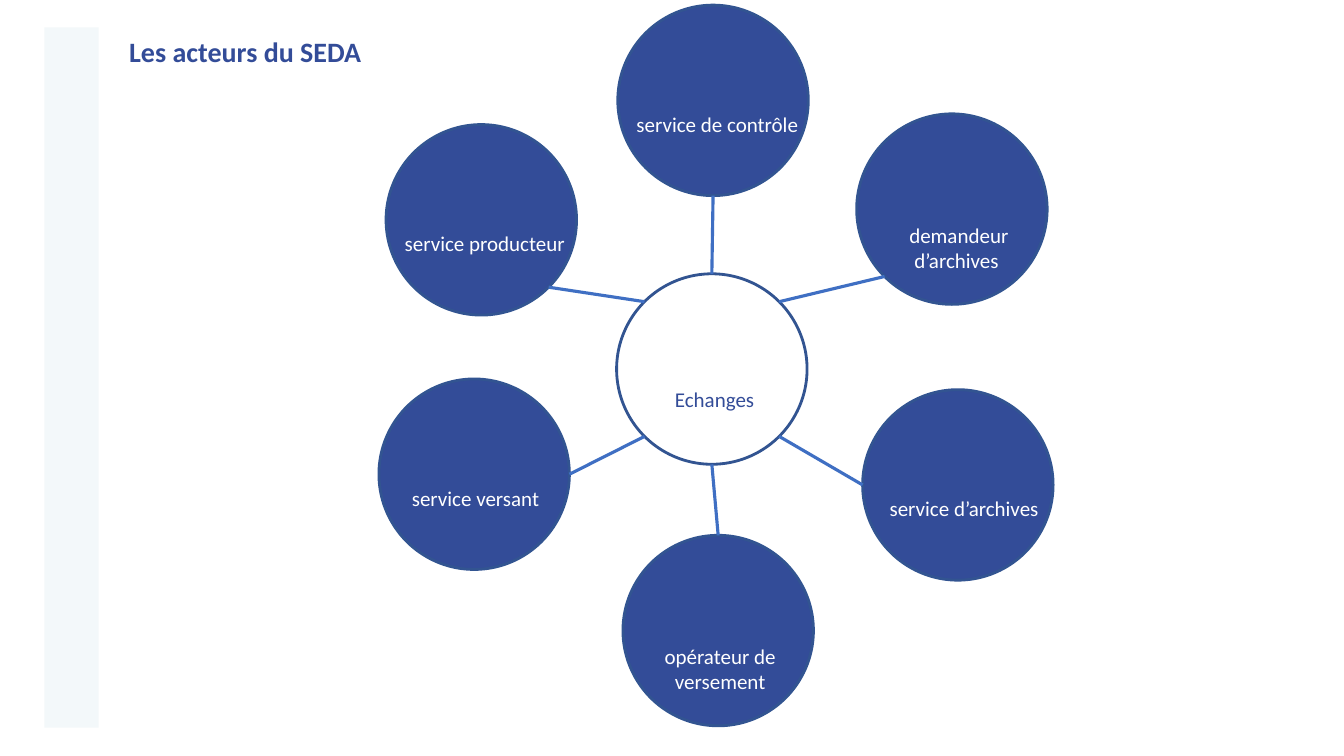
from dataclasses import dataclass
from math import cos, radians, sin
from typing import Optional

from lxml.etree import SubElement
from pptx import Presentation
from pptx.dml.color import RGBColor
from pptx.enum.shapes import MSO_CONNECTOR, MSO_SHAPE
from pptx.enum.text import MSO_ANCHOR, MSO_AUTO_SIZE, PP_ALIGN
from pptx.oxml.ns import qn
from pptx.shapes.autoshape import Shape
from pptx.shapes.shapetree import SlideShapes
from pptx.util import Cm, Pt

NAVY = RGBColor(0x33, 0x4C, 0x98)
OUTLINE = RGBColor(0x32, 0x54, 0x91)
LINK = RGBColor(0x3F, 0x6F, 0xC3)
PALE = RGBColor(0xF3, 0xF8, 0xFA)
WHITE = RGBColor(0xFF, 0xFF, 0xFF)

DIAMETER = 4.8
LABEL_WIDTH = 5.41
LABEL_HEIGHT = 0.89
LABEL_DROP = 2.55

TOP, TOP_LEFT, LEFT, BOTTOM_LEFT, BOTTOM, BOTTOM_RIGHT, RIGHT, TOP_RIGHT = range(8)


@dataclass
class Disc:
    label: str
    left: float
    top: float
    label_shift: float
    label_width: float = LABEL_WIDTH
    label_height: float = LABEL_HEIGHT
    label_drop: float = LABEL_DROP
    align: PP_ALIGN = PP_ALIGN.LEFT
    fill: RGBColor = NAVY
    color: RGBColor = WHITE
    site: Optional[int] = None
    hub_site: Optional[int] = None

    def point(self, site: int) -> tuple[Cm, Cm]:
        angle = radians(90 + 45 * site)
        radius = DIAMETER / 2
        return (Cm(self.left + radius + radius * cos(angle)),
                Cm(self.top + radius - radius * sin(angle)))


HUB = Disc("Echanges", 15.54, 6.9, 1.22, 2.64, 1.52, 2.71, fill=WHITE, color=NAVY)
ACTORS = [
    Disc("service de contrôle", 15.57, 0.13, 0.22, site=BOTTOM, hub_site=TOP),
    Disc("service versant", 9.55, 9.55, 0.58, site=RIGHT, hub_site=BOTTOM_LEFT),
    Disc("service producteur", 9.73, 3.14, 0.22, site=BOTTOM_RIGHT, hub_site=TOP_LEFT),
    Disc("demandeur d’archives ", 21.59, 2.87, 0.96, 3.23, 2.16, 2.61,
         align=PP_ALIGN.CENTER, site=BOTTOM_LEFT, hub_site=TOP_RIGHT),
    Disc("service d’archives", 21.74, 9.82, 0.43, site=LEFT, hub_site=BOTTOM_RIGHT),
    Disc("opérateur de versement", 15.7, 13.49, -0.18, 5.26, 1.52, 2.59,
         align=PP_ALIGN.CENTER, site=TOP, hub_site=BOTTOM),
]


def write(s: Shape, text: str, *, size: float, color: RGBColor, bold: bool = False,
          align: PP_ALIGN = PP_ALIGN.LEFT) -> None:
    tf = s.text_frame
    tf.word_wrap = True
    tf.auto_size = MSO_AUTO_SIZE.NONE
    tf.vertical_anchor = MSO_ANCHOR.TOP
    p = tf.paragraphs[0]
    p.alignment = align
    r = p.add_run()
    r.text = text
    r.font.name = "Calibri"
    r.font.size = Pt(size)
    r.font.bold = bold
    r.font.color.rgb = color


def draw_disc(shapes: SlideShapes, disc: Disc) -> Shape:
    s = shapes.add_shape(MSO_SHAPE.OVAL, Cm(disc.left), Cm(disc.top),
                         Cm(DIAMETER), Cm(DIAMETER))
    s.shadow.inherit = False
    s.fill.solid()
    s.fill.fore_color.rgb = disc.fill
    s.line.color.rgb = OUTLINE
    s.line.width = Pt(2)
    label = shapes.add_textbox(
        Cm(disc.left + disc.label_shift), Cm(disc.top + disc.label_drop),
        Cm(disc.label_width), Cm(disc.label_height))
    write(label, disc.label, size=15, color=disc.color, align=disc.align)
    return s


def link(shapes: SlideShapes, actor: Disc, actor_shape: Shape, hub_shape: Shape) -> None:
    c = shapes.add_connector(MSO_CONNECTOR.STRAIGHT, *actor.point(actor.site),
                             *HUB.point(actor.hub_site))
    c.line.color.rgb = LINK
    c.line.width = Pt(2.25)
    SubElement(c._element.spPr, qn("a:effectLst"))
    ends = c._element.nvCxnSpPr.cNvCxnSpPr
    for tag, s, site in (("a:stCxn", actor_shape, actor.site),
                         ("a:endCxn", hub_shape, actor.hub_site)):
        SubElement(ends, qn(tag), id=str(s.shape_id), idx=str(site))


def main() -> None:
    prs = Presentation()
    prs.slide_width, prs.slide_height = Cm(33.87), Cm(19.05)
    slide = prs.slides.add_slide(prs.slide_layouts[5])
    shapes = slide.shapes

    bar = shapes.add_shape(MSO_SHAPE.RECTANGLE, Cm(1.12), Cm(0.69), Cm(1.37), Cm(17.65))
    bar.shadow.inherit = False
    bar.fill.solid()
    bar.fill.fore_color.rgb = PALE
    bar.line.fill.background()

    title = shapes.title
    title.left, title.top, title.width, title.height = Cm(3), Cm(0.74), Cm(29.9), Cm(1.09)
    write(title, "Les acteurs du SEDA", size=20, color=NAVY, bold=True)

    actor_shapes = [draw_disc(shapes, actor) for actor in ACTORS]
    hub_shape = draw_disc(shapes, HUB)
    for actor, s in zip(ACTORS, actor_shapes):
        link(shapes, actor, s, hub_shape)

    prs.save("out.pptx")


if __name__ == "__main__":
    main()
